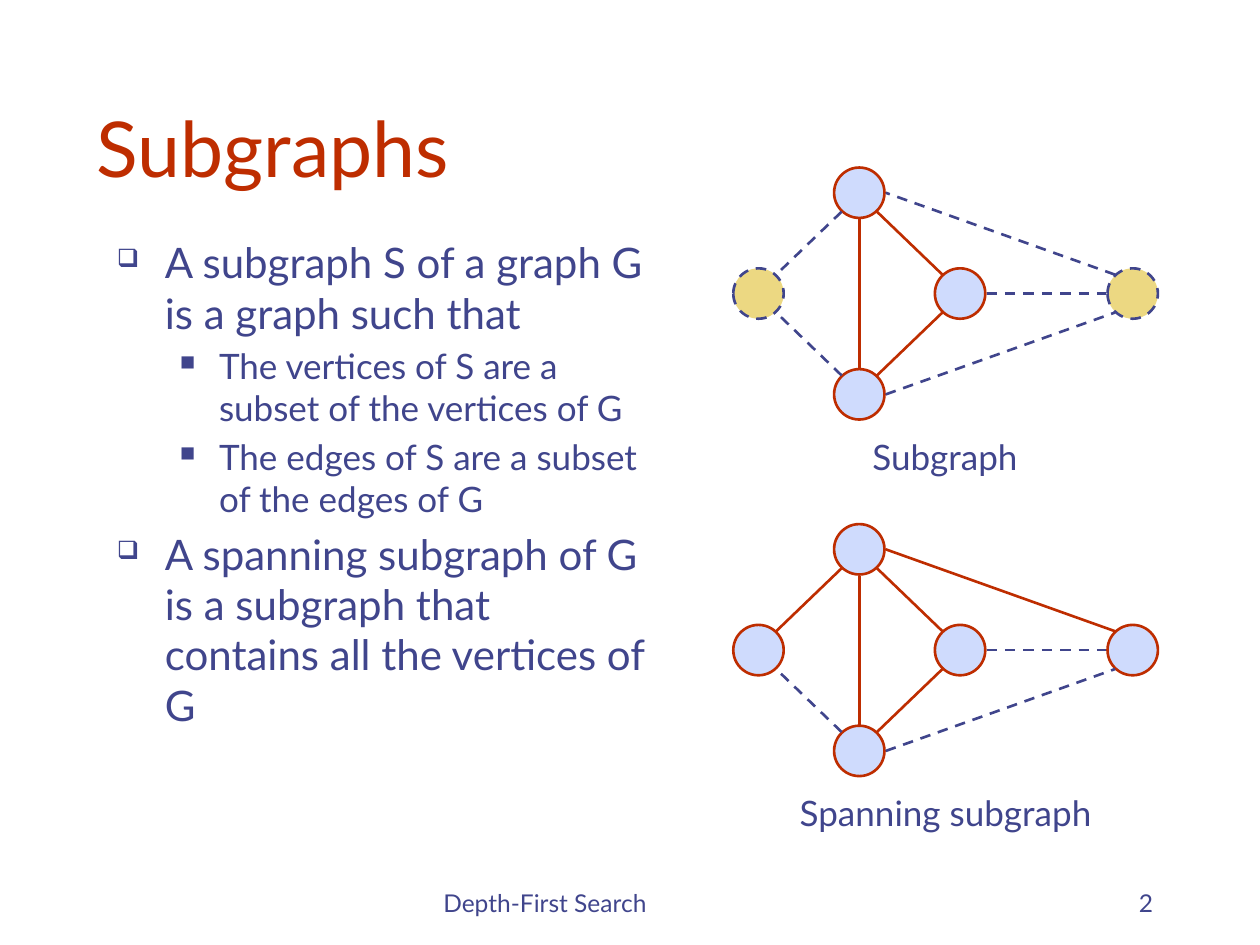
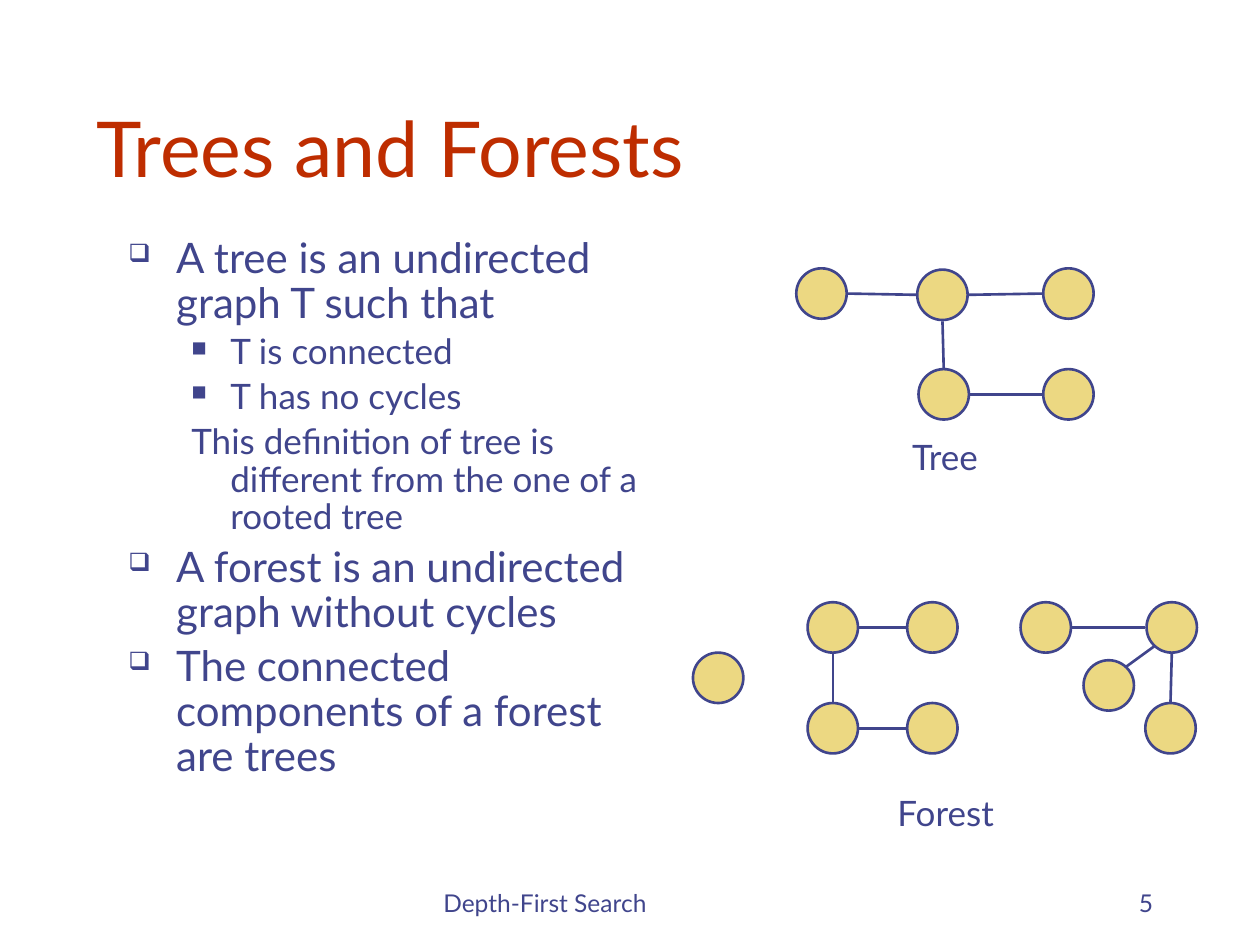
"""Build two slides on subgraphs, trees and forests."""
from lxml.etree import SubElement
from pptx import Presentation
from pptx.dml.color import RGBColor
from pptx.enum.dml import MSO_LINE
from pptx.enum.shapes import MSO_CONNECTOR, MSO_SHAPE
from pptx.enum.text import MSO_ANCHOR as ANCHOR, PP_ALIGN as ALIGN
from pptx.oxml.ns import qn
from pptx.util import Emu, Pt

FONT = "Lato"
INK, RED, BLUE, SAND = "40458C", "BE2D00", "CFDBFD", "ECD882"
FOOTER = "Depth-First Search"
NODE = 40
LINE_PT = 1.5

PORTS = {"n": (0, -21), "s": (0, 21), "w": (-21, 0), "e": (21, 0),
         "nw": (-14, -15), "ne": (14, -15), "sw": (-14, 15), "se": (14, 15)}

# level: size in points, left margin, hanging indent, bullet
LEVELS = {"main": (24, 38, 38, "❑"), "sub": (20, 81, 31, "■"), "note": (20, 81, 31, None)}

GRAPH_NODES = {"left": (582, 213), "top": (662, 133), "bottom": (662, 293),
               "mid": (742, 213), "right": (879, 213)}
GRAPH_EDGES = [("top", "sw", "left", "ne"), ("bottom", "nw", "left", "se"),
               ("bottom", "ne", "mid", "sw"), ("top", "se", "mid", "nw"),
               ("top", "s", "bottom", "n"), ("mid", "e", "right", "w"),
               ("bottom", "e", "right", "sw"), ("right", "nw", "top", "e")]
SUB_EDGES = [("bottom", "mid"), ("top", "mid"), ("top", "bottom")]
SPANNING_EDGES = SUB_EDGES + [("top", "left"), ("right", "top")]
SPANNING_SHIFT = 283

TREE_NODES = {"a": (632, 213), "b": (728, 214), "c": (828, 213),
              "d": (729, 293), "e": (828, 293)}
TREE_EDGES = [("a", "e", "b", "w"), ("d", "n", "b", "s"),
              ("c", "w", "b", "e"), ("d", "e", "e", "w")]
FOREST_NODES = {"lone": (550, 518),
                "a": (641, 478), "b": (720, 478), "c": (641, 558), "d": (720, 558),
                "e": (810, 478), "f": (910, 478), "g": (909, 558), "h": (860, 524)}
FOREST_EDGES = [("c", "n", "a", "s"), ("b", "w", "a", "e"), ("c", "e", "d", "w"),
                ("h", "ne", "f", "sw"), ("g", "n", "f", "s"), ("e", "e", "f", "w")]

SUBGRAPHS = {
    "title": "Subgraphs", "page": "2", "body_box": (83, 183, 442, 475), "spacing": 1.0,
    "body": [("main", "A subgraph S of a graph G is a graph such that"),
             ("sub", "The vertices of S are a subset of the vertices of G"),
             ("sub", "The edges of S are a subset of the edges of G"),
             ("main", "A spanning subgraph of G is a subgraph that contains "
                      "all the vertices of G")],
    "captions": ("Subgraph", "Spanning subgraph")}
TREES = {
    "title": "Trees and Forests", "page": "5", "body_box": (92, 183, 425, 492), "spacing": 0.9,
    "body": [("main", "A tree is an undirected graph T such that"),
             ("sub", "T is connected"),
             ("sub", "T has no cycles"),
             ("note", "This definition of tree is different from the one of a rooted tree"),
             ("main", "A forest is an undirected graph without cycles"),
             ("main", "The connected components of a forest are trees")],
    "captions": ("Tree", "Forest")}
CAPTION_BOXES = ((594, 341, 312, 43), (551, 623, 399, 43))


def px(n):
    return Emu(n * 9144)


def rgb(color):
    return RGBColor.from_string(color)


def add_run(p, text, size, color):
    r = p.add_run()
    r.text = text
    r.font.name, r.font.size = FONT, Pt(size)
    r.font.color.rgb = rgb(color)


def add_frame(s, box, anchor=ANCHOR.TOP):
    tf = s.shapes.add_textbox(*map(px, box)).text_frame
    tf.word_wrap = True
    tf.vertical_anchor = anchor
    return tf


def add_label(s, box, text, size, color=INK, align=ALIGN.LEFT, anchor=ANCHOR.BOTTOM):
    p = add_frame(s, box, anchor).paragraphs[0]
    p.alignment = align
    add_run(p, text, size, color)


def set_bullet(p, margin, hang, char):
    pPr = p._p.get_or_add_pPr()
    pPr.set("marL", str(px(margin)))
    pPr.set("indent", str(-px(hang)))
    if char:
        SubElement(SubElement(pPr, qn("a:buClr")), qn("a:srgbClr"), val=INK)
        SubElement(pPr, qn("a:buSzPct"), val="60000")
        SubElement(pPr, qn("a:buChar"), char=char)


def add_body(s, box, items, spacing):
    tf = add_frame(s, box)
    for i, (level, text) in enumerate(items):
        size, margin, hang, char = LEVELS[level]
        p = tf.add_paragraph() if i else tf.paragraphs[0]
        set_bullet(p, margin, hang, char)
        p.line_spacing = spacing
        if i:
            p.space_before = Pt(size * 0.2)
        add_run(p, text, size, INK)


def style_line(line, color, dashed):
    line.color.rgb = rgb(color)
    line.width = Pt(LINE_PT)
    if dashed:
        line.dash_style = MSO_LINE.DASH


def add_node(s, corner, fill, color, dashed):
    sp = s.shapes.add_shape(MSO_SHAPE.OVAL, *map(px, (*corner, NODE, NODE)))
    sp.shadow.inherit = False
    sp.fill.solid()
    sp.fill.fore_color.rgb = rgb(fill)
    style_line(sp.line, color, dashed)


def port(corner, side):
    return [px(c + NODE // 2 + d) for c, d in zip(corner, PORTS[side])]


def add_edge(s, start, end, color, dashed):
    cn = s.shapes.add_connector(MSO_CONNECTOR.STRAIGHT, *start, *end)
    SubElement(cn._element.spPr, qn("a:effectLst"))
    style_line(cn.line, color, dashed)


def add_graph(s, nodes, edges, node_style, edge_style):
    for name, corner in nodes.items():
        add_node(s, corner, *node_style(name))
    for a, a_side, b, b_side in edges:
        add_edge(s, port(nodes[a], a_side), port(nodes[b], b_side), *edge_style(a, b))


def add_subgraph(s, shift, members, chosen):
    nodes = {name: (x, y + shift) for name, (x, y) in GRAPH_NODES.items()}
    add_graph(s, nodes, GRAPH_EDGES,
              lambda name: (BLUE, RED, False) if name in members else (SAND, INK, True),
              lambda a, b: (RED, False) if (a, b) in chosen else (INK, True))


def add_plain_graph(s, nodes, edges):
    add_graph(s, nodes, edges, lambda name: (SAND, INK, False), lambda a, b: (INK, False))


def add_page(prs, page):
    s = prs.slides.add_slide(prs.slide_layouts[6])
    add_label(s, (342, 683, 317, 50), FOOTER, 14)
    add_label(s, (717, 683, 208, 50), page["page"], 14, align=ALIGN.RIGHT)
    add_label(s, (67, 33, 850, 125), page["title"], 44, RED)
    add_body(s, page["body_box"], page["body"], page["spacing"])
    for box, text in zip(CAPTION_BOXES, page["captions"]):
        add_label(s, box, text, 20, align=ALIGN.CENTER, anchor=ANCHOR.TOP)
    return s


def main():
    prs = Presentation()
    prs.slide_width, prs.slide_height = px(1000), px(750)
    s = add_page(prs, SUBGRAPHS)
    add_subgraph(s, 0, ("top", "mid", "bottom"), SUB_EDGES)
    add_subgraph(s, SPANNING_SHIFT, GRAPH_NODES, SPANNING_EDGES)
    s = add_page(prs, TREES)
    add_plain_graph(s, TREE_NODES, TREE_EDGES)
    add_plain_graph(s, FOREST_NODES, FOREST_EDGES)
    prs.save("out.pptx")


if __name__ == "__main__":
    main()
